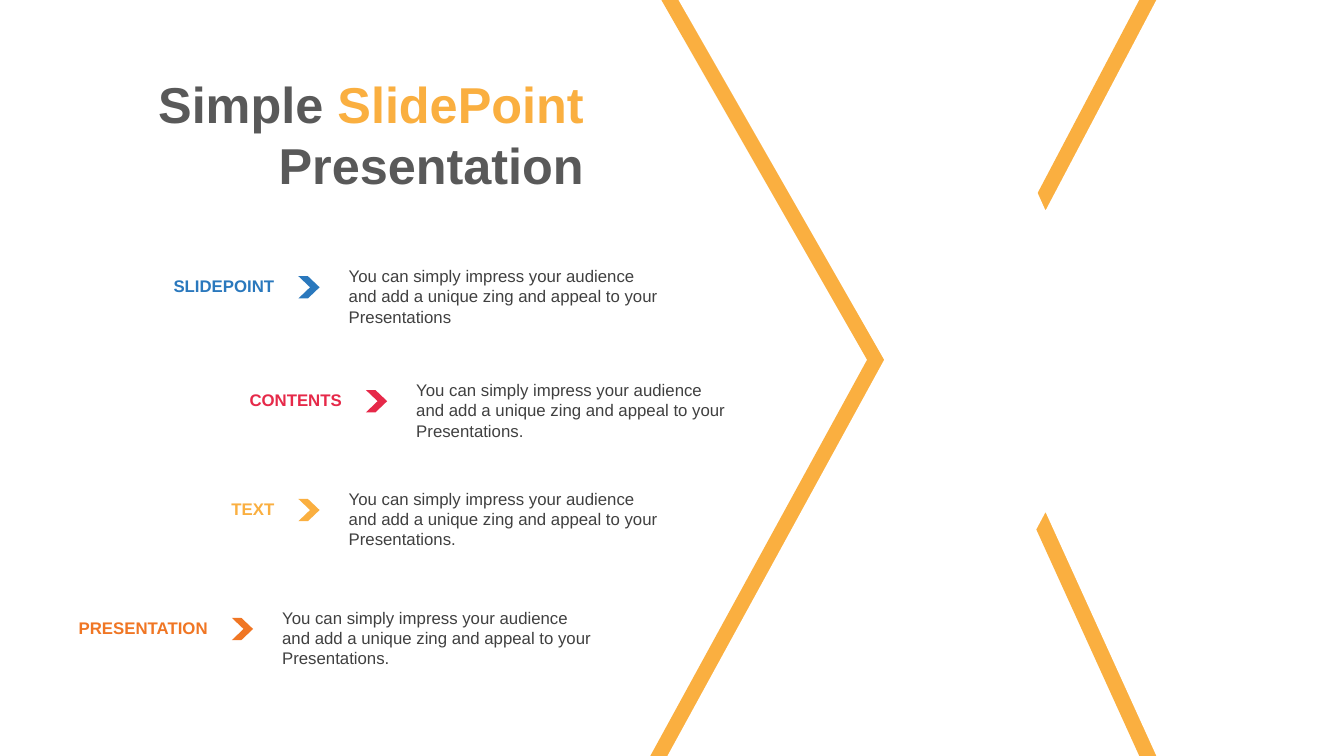
from pptx import Presentation
from pptx.dml.color import RGBColor
from pptx.enum.shapes import MSO_SHAPE
from pptx.enum.text import MSO_AUTO_SIZE, PP_ALIGN
from pptx.util import Inches, Pt

CHEVRON = MSO_SHAPE.CHEVRON
GROW = MSO_AUTO_SIZE.SHAPE_TO_FIT_TEXT
LEFT, RIGHT = PP_ALIGN.LEFT, PP_ALIGN.RIGHT

COLORS = {
    "blue": "2A78BD",
    "red": "E62949",
    "yellow": "FAAF40",
    "orange": "F07624",
    "title": "595959",
    "body": "404040",
    "white": "FFFFFF",
}


def paint(shape, color):
    shape.fill.solid()
    shape.fill.fore_color.rgb = RGBColor.from_string(COLORS[color])
    shape.line.fill.background()
    shape.shadow.inherit = False


def add_text(shapes, left, top, width, height, spans, size, bold, align):
    box = shapes.add_textbox(Inches(left), Inches(top), Inches(width), Inches(height))
    frame = box.text_frame
    frame.word_wrap = True
    frame.auto_size = GROW
    para = frame.paragraphs[0]
    para.alignment = align
    for text, color in spans:
        span = para.add_run()
        span.text = text
        span.font.color.rgb = RGBColor.from_string(COLORS[color])
        for name, value in {"name": "Arial", "size": Pt(size), "bold": bold}.items():
            setattr(span.font, name, value)


deck = Presentation()
deck.slide_width = Inches(13.33)
deck.slide_height = Inches(7.5)
page = deck.slides.add_slide(deck.slide_layouts[6])

cross = [
    (6.56, 0), (9.26, 0), (10.2, 2.09), (11.3, 0), (12.99, 0), (12.99, 1.44),
    (11.78, 3.57), (12.99, 5.76), (12.99, 7.5), (11.3, 7.5), (10.2, 5.08),
    (8.91, 7.5), (6.45, 7.5), (8.6, 3.57),
]
for shift, color in [(0, "yellow"), (0.17, "white")]:
    points = [(Inches(x + shift), Inches(y)) for x, y in cross]
    outline = page.shapes.build_freeform(*points[0])
    outline.add_line_segments(points[1:], close=True)
    paint(outline.convert_to_shape(), color)

message = "You can simply impress your audience and add a unique zing and appeal to your Presentations"
topics = [
    ("SLIDEPOINT", "blue", 1.16, 2.69, ""),
    ("CONTENTS", "red", 1.83, 3.82, "."),
    ("PRESENTATION", "orange", 0.5, 6.08, "."),
    ("TEXT", "yellow", 1.16, 4.9, "."),
]
for label, color, left, top, ending in topics:
    topic = page.shapes.add_group_shape()
    add_text(topic.shapes, left, top, 1.66, 0.3, [(label, color)], 12, True, RIGHT)
    add_text(topic.shapes, left + 2.2, top - 0.1, 3.29, 0.71,
             [(message + ending, "body")], 12, False, LEFT)
    arrow = topic.shapes.add_shape(
        CHEVRON, Inches(left + 1.8), Inches(top + 0.05), Inches(0.21), Inches(0.22))
    arrow.adjustments[0] = 0.55
    paint(arrow, color)

title = [("Simple ", "title"), ("SlidePoint ", "yellow"), ("Presentation", "title")]
add_text(page.shapes, 0.59, 0.68, 5.3, 1.31, title, 36, True, RIGHT)

deck.save("out.pptx")
